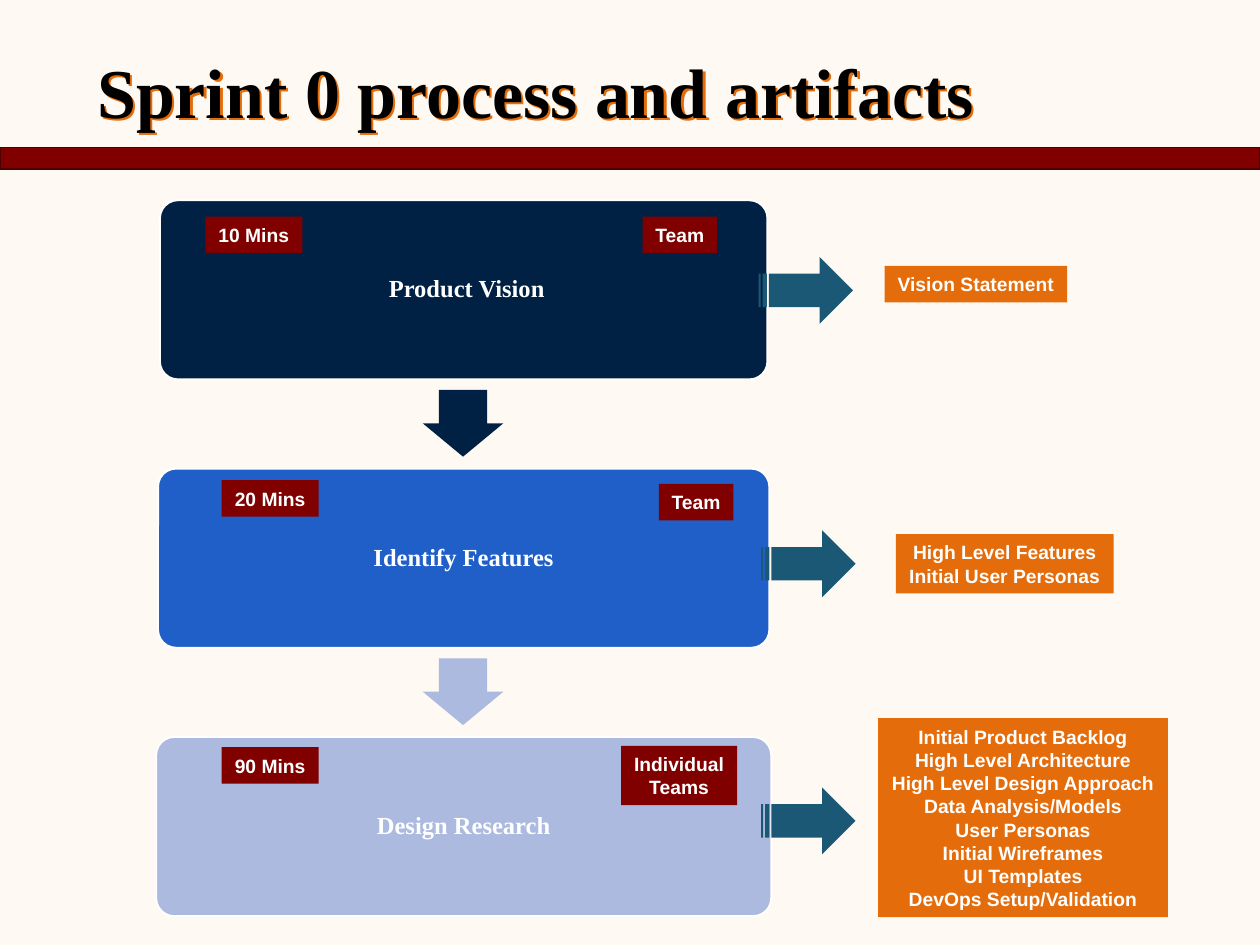
from lxml import etree
from pptx import Presentation
from pptx.dml.color import RGBColor
from pptx.enum.shapes import MSO_SHAPE
from pptx.enum.text import MSO_ANCHOR, MSO_AUTO_SIZE, PP_ALIGN
from pptx.oxml import parse_xml
from pptx.oxml.ns import nsdecls
from pptx.util import Inches, Pt

RECTANGLE = MSO_SHAPE.RECTANGLE
ROUNDED = MSO_SHAPE.ROUNDED_RECTANGLE
RIGHT_ARROW = MSO_SHAPE.RIGHT_ARROW
STRIPED_ARROW = MSO_SHAPE.STRIPED_RIGHT_ARROW
MIDDLE = MSO_ANCHOR.MIDDLE
GROW = MSO_AUTO_SIZE.SHAPE_TO_FIT_TEXT
NO_GROW = MSO_AUTO_SIZE.NONE
CENTER = PP_ALIGN.CENTER

CREAM = RGBColor(0xFF, 0xF9, 0xF3)
WHITE = RGBColor(0xFF, 0xFF, 0xFF)
BLACK = RGBColor(0x00, 0x00, 0x00)
MAROON = RGBColor(0x80, 0x00, 0x00)
DARK_MAROON = RGBColor(0x4C, 0x00, 0x00)
ORANGE = RGBColor(0xE4, 0x6C, 0x0A)
TEAL = RGBColor(0x1B, 0x58, 0x76)
NAVY = RGBColor(0x00, 0x21, 0x43)
BLUE = RGBColor(0x20, 0x5F, 0xC8)
LAVENDER = RGBColor(0xAD, 0xBA, 0xE0)


class ProcessSlide:
    serif = "Times New Roman"
    sans = "Arial"

    def __init__(self, deck):
        self.page = deck.slides.add_slide(deck.slide_layouts[5])
        fill = self.page.background.fill
        fill.solid()
        fill.fore_color.rgb = CREAM

    def add_lines(self, frame, lines, font, size, color):
        frame.vertical_anchor = MIDDLE
        for index, line in enumerate(lines):
            para = frame.add_paragraph() if index else frame.paragraphs[0]
            para.alignment = CENTER
            span = para.add_run()
            span.text = line
            span.font.name = font
            span.font.size = Pt(size)
            span.font.bold = True
            span.font.color.rgb = color

    def title(self, text, left, top, width, height):
        title = self.page.shapes.title
        title.left, title.top = Inches(left), Inches(top)
        title.width, title.height = Inches(width), Inches(height)
        frame = title.text_frame
        frame.auto_size = NO_GROW
        frame.margin_top = frame.margin_bottom = 0
        self.add_lines(frame, [text], self.serif, 40, BLACK)
        effects = parse_xml(f"<a:effectLst {nsdecls('a')}/>")
        shadow = etree.SubElement(
            effects, effects.tag.replace("effectLst", "outerShdw"),
            dist=str(Pt(2)), dir="2700000", algn="ctr", rotWithShape="0")
        etree.SubElement(
            shadow, effects.tag.replace("effectLst", "srgbClr"), val=str(ORANGE))
        title._element.spPr.append(effects)

    def shape(self, kind, left, top, width, height, color, line=None):
        shape = self.page.shapes.add_shape(
            kind, Inches(left), Inches(top), Inches(width), Inches(height))
        shape.shadow.inherit = False
        shape.fill.solid()
        shape.fill.fore_color.rgb = color
        if line is None:
            shape.line.fill.background()
        else:
            shape.line.color.rgb = line
            shape.line.width = Pt(1)
        return shape

    def step(self, name, left, top, width, height, color):
        box = self.shape(ROUNDED, left, top, width, height, color, WHITE)
        box.adjustments[0] = 0.1
        frame = box.text_frame
        frame.word_wrap = True
        self.add_lines(frame, [name], self.serif, 14, WHITE)
        frame.paragraphs[0].line_spacing = 0.9

    def down_arrow(self, left, top, color):
        arrow = self.shape(RIGHT_ARROW, left, top, 0.53, 0.64, color)
        arrow.rotation = 90
        arrow.adjustments[0] = 0.6
        arrow.adjustments[1] = 0.5

    def label(self, lines, left, top, width, color):
        height = 0.29 if len(lines) == 1 else 0.1 + 0.185 * len(lines)
        box = self.shape(RECTANGLE, left, top, width, height, color)
        frame = box.text_frame
        frame.word_wrap = False
        frame.auto_size = GROW
        self.add_lines(frame, lines, self.sans, 11, WHITE)


deck = Presentation()
deck.slide_width, deck.slide_height = Inches(10), Inches(7.5)
slide = ProcessSlide(deck)
slide.shape(RECTANGLE, 0, 1.17, 10, 0.17, MAROON, DARK_MAROON)
slide.title("Sprint 0 process and artifacts", 0.43, 0.21, 7.64, 1.01)

STEP_TOP, STEP_PITCH, STEP_CENTER = 1.59, 2.13, 3.68
steps = [
    (" Product Vision", 4.82, NAVY),
    ("Identify Features", 4.85, BLUE),
    ("Design Research", 4.88, LAVENDER),
]
for index, (name, width, color) in enumerate(steps):
    top = STEP_TOP + index * STEP_PITCH
    slide.step(name, STEP_CENTER - width / 2, top, width, 1.42, color)
for index, color in enumerate([NAVY, LAVENDER]):
    slide.down_arrow(3.41, 3.04 + index * STEP_PITCH, color)

labels = [
    (["10 Mins"], 1.63, 1.72, 0.77, MAROON),
    (["20 Mins"], 1.76, 3.81, 0.77, MAROON),
    (["90 Mins"], 1.76, 5.93, 0.77, MAROON),
    (["Vision Statement"], 7.02, 2.11, 1.45, ORANGE),
    (["High Level Features", "Initial User Personas"], 7.11, 4.24, 1.73, ORANGE),
    (["Initial Product Backlog", "High Level Architecture",
      "High Level Design Approach", "Data Analysis/Models", "User Personas",
      "Initial Wireframes", "UI Templates", "DevOps Setup/Validation"],
     6.97, 5.7, 2.3, ORANGE),
    (["Team"], 5.1, 1.72, 0.59, MAROON),
    (["Team"], 5.23, 3.84, 0.59, MAROON),
    (["Individual ", "Teams"], 4.93, 5.92, 0.92, MAROON),
]
for label in labels:
    slide.label(*label)

for left, top in [(6.02, 2.04), (6.04, 4.21), (6.04, 6.25)]:
    slide.shape(STRIPED_ARROW, left, top, 0.75, 0.53, TEAL)

deck.save("out.pptx")
